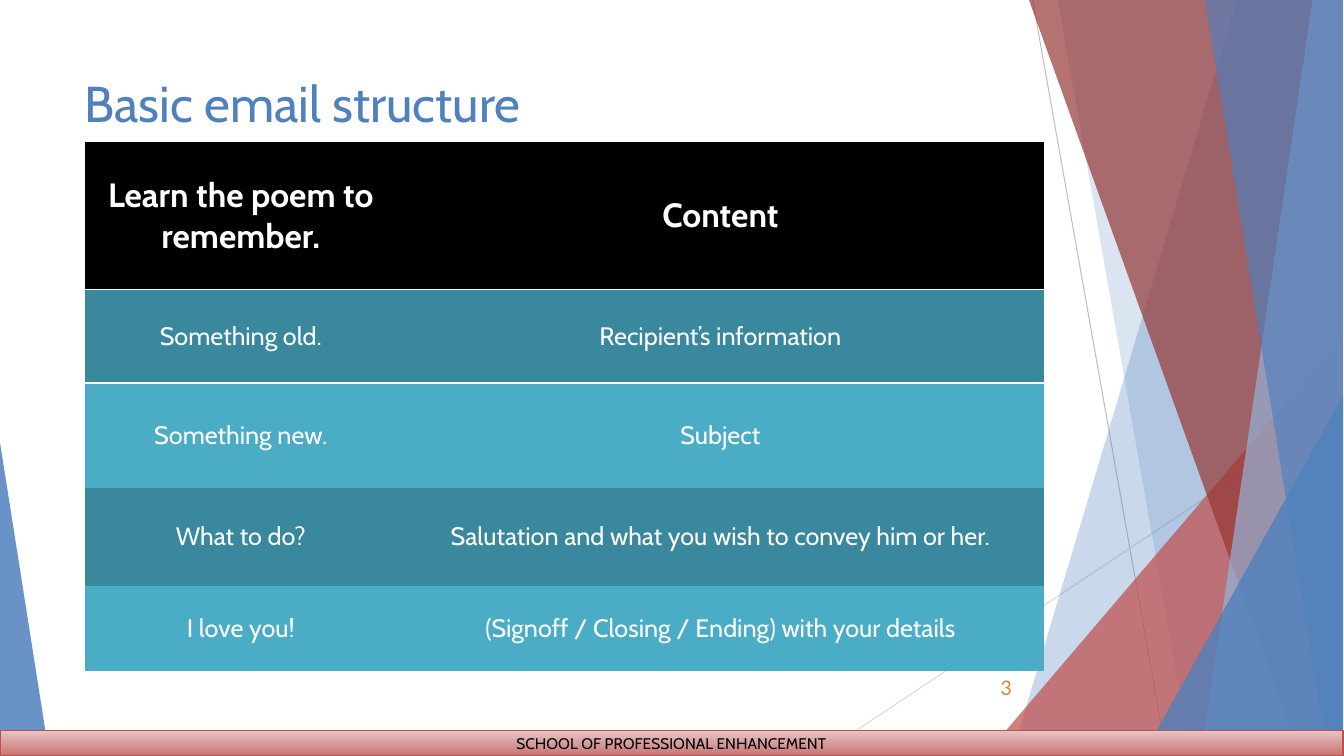
from pptx import Presentation
from pptx.util import Inches, Pt
from pptx.dml.color import RGBColor
from pptx.enum.shapes import MSO_CONNECTOR, MSO_SHAPE
from pptx.enum.text import MSO_ANCHOR, PP_ALIGN
from pptx.oxml.ns import qn
from lxml import etree

LINE = MSO_CONNECTOR.STRAIGHT
TRIANGLE, RECT = MSO_SHAPE.ISOSCELES_TRIANGLE, MSO_SHAPE.RECTANGLE
TOP, MIDDLE = MSO_ANCHOR.TOP, MSO_ANCHOR.MIDDLE
LEFT, CENTER, RIGHT = PP_ALIGN.LEFT, PP_ALIGN.CENTER, PP_ALIGN.RIGHT

THEME = {
    "font": "Cabin", "number_font": "Calibri",
    "blue": "4F81BD", "pale_blue": "95B3D7", "red": "C0504D", "dark_red": "953735",
    "white": "FFFFFF", "black": "000000", "gold": "CE8D3E",
    "bands": ("3A889D", "4BACC6"), "footer": ("E5C5C4", "C87372"),
    "title_size": 36, "head_size": 24, "cell_size": 18, "number_size": 16, "footer_size": 11,
}

TITLE = "Basic email structure"
ROWS = [
    ("Learn the poem to remember.", "Content"),
    ("Something old.", "Recipient’s information"),
    ("Something new.", "Subject"),
    ("What to do?", "Salutation and what you wish to convey him or her."),
    ("I love you!", "(Signoff / Closing / Ending) with your details"),
]
COL_WIDTHS = (3.1, 6.42)
ROW_HEIGHTS = (1.46, 0.93, 1.04, 0.97, 0.85)
NUMBER = "3"
FOOTER = "SCHOOL OF PROFESSIONAL ENHANCEMENT"

EDGE, BOTTOM = 13.33, 7.5
HAIRLINES = [
    ((10.25, 0), (11.58, BOTTOM), "BFBFBF"),
    ((EDGE, 4.03), (8.12, BOTTOM), "D9D9D9"),
]
FACETS = [
    ("panel", (12.28, 10.04), "blue", 30),
    ("panel", (10.5, 11.82), "blue", 20),
    ("triangle", (9.77, 3.33, EDGE, 1), "red", 72),
    ("panel", (10.21, 12.91), "dark_red", 70),
    ("panel", (13.03, 11.92), "pale_blue", 70),
    ("panel", (11.96, 13.18), "blue", 65),
    ("triangle", (11.34, 3.93, EDGE, 1), "blue", 80),
    ("triangle", (0, 4.39, 0.49, 0), "blue", 85),
]

prs = Presentation()
prs.slide_width, prs.slide_height = Inches(13.34), Inches(7.5)
s = prs.slides.add_slide(prs.slide_layouts[6])


def rgb(color):
    return RGBColor.from_string(color)


def write(tf, text, size, color, align, anchor=MIDDLE, font=THEME["font"], bold=False):
    tf.word_wrap = True
    tf.vertical_anchor = anchor
    p = tf.paragraphs[0]
    p.alignment = align
    r = p.add_run()
    r.text = text
    r.font.name, r.font.size, r.font.bold = font, Pt(size), bold
    r.font.color.rgb = rgb(color)


def add_hairline(start, end, color):
    line = s.shapes.add_connector(LINE, *map(Inches, start + end))
    line.line.color.rgb = rgb(color)
    line.line.width = Pt(0.75)
    etree.SubElement(line._element.spPr, qn("a:effectLst"))


def add_panel(top_x, bottom_x):
    corners = [(top_x, -0.01), (EDGE, -0.01), (EDGE, BOTTOM), (bottom_x, BOTTOM)]
    points = [(Inches(x), Inches(y)) for x, y in corners]
    builder = s.shapes.build_freeform(*points[0])
    builder.add_line_segments(points[1:], close=True)
    return builder.convert_to_shape()


def add_triangle(left, top, right, apex):
    sp = s.shapes.add_shape(TRIANGLE, Inches(left), Inches(top),
                            Inches(right - left), Inches(BOTTOM - top))
    sp.adjustments[0] = apex
    return sp


def paint_facet(sp, color, opacity):
    sp.shadow.inherit = False
    sp.line.fill.background()
    sp.fill.solid()
    sp.fill.fore_color.rgb = rgb(color)
    clr = sp._element.spPr.find(qn("a:solidFill"))[0]
    etree.SubElement(clr, qn("a:alpha"), val=str(opacity * 1000))


def add_text(box, *args, **kwargs):
    tb = s.shapes.add_textbox(*map(Inches, box))
    write(tb.text_frame, *args, **kwargs)


def rule_cell(cell, side, color):
    ln = etree.Element(qn(f"a:{side}"), w=str(Pt(0.96)))
    fill = etree.SubElement(ln, qn("a:solidFill"))
    etree.SubElement(fill, qn("a:srgbClr"), val=color)
    cell._tc.get_or_add_tcPr().insert(0, ln)


def add_poem_table():
    frame = s.shapes.add_table(len(ROWS), len(COL_WIDTHS), Inches(0.84), Inches(1.41),
                               Inches(sum(COL_WIDTHS)), Inches(sum(ROW_HEIGHTS)))
    table = frame.table
    style = table._tbl.tblPr.find(qn("a:tableStyleId"))
    style.text = "{2D5ABB26-0587-4C30-8999-92F81FD0307C}"
    for col, width in zip(table.columns, COL_WIDTHS):
        col.width = Inches(width)
    for i, (row, height) in enumerate(zip(table.rows, ROW_HEIGHTS)):
        row.height = Inches(height)
        head = i == 0
        for cell, text in zip(row.cells, ROWS[i]):
            cell.fill.solid()
            cell.fill.fore_color.rgb = rgb(THEME["black"] if head else THEME["bands"][(i - 1) % 2])
            cell.vertical_anchor = MIDDLE
            write(cell.text_frame, text, THEME["head_size" if head else "cell_size"],
                  THEME["white"], CENTER, bold=head)
            if i < 2:
                rule_cell(cell, "lnB" if head else "lnT", THEME["white"])


def add_footer():
    sp = s.shapes.add_shape(RECT, 0, Inches(7.25), Inches(EDGE), Inches(0.25))
    sp.shadow.inherit = False
    sp.fill.gradient()
    sp.fill.gradient_angle = 270
    for stop, color, position in zip(sp.fill.gradient_stops, THEME["footer"], (0, 1)):
        stop.color.rgb = rgb(color)
        stop.position = position
    sp.line.color.rgb = rgb(THEME["red"])
    sp.line.width = Pt(1)
    write(sp.text_frame, FOOTER, THEME["footer_size"], THEME["black"], CENTER)


for hairline in HAIRLINES:
    add_hairline(*hairline)
makers = {"panel": add_panel, "triangle": add_triangle}
for kind, geometry, color, opacity in FACETS:
    paint_facet(makers[kind](*geometry), THEME[color], opacity)
add_text((0.74, 0.67, 8.92, 0.87), TITLE, THEME["title_size"], THEME["blue"], LEFT, TOP)
add_poem_table()
add_text((9.39, 6.61, 0.75, 0.4), NUMBER, THEME["number_size"], THEME["gold"], RIGHT,
         font=THEME["number_font"])
add_footer()

prs.save("out.pptx")
